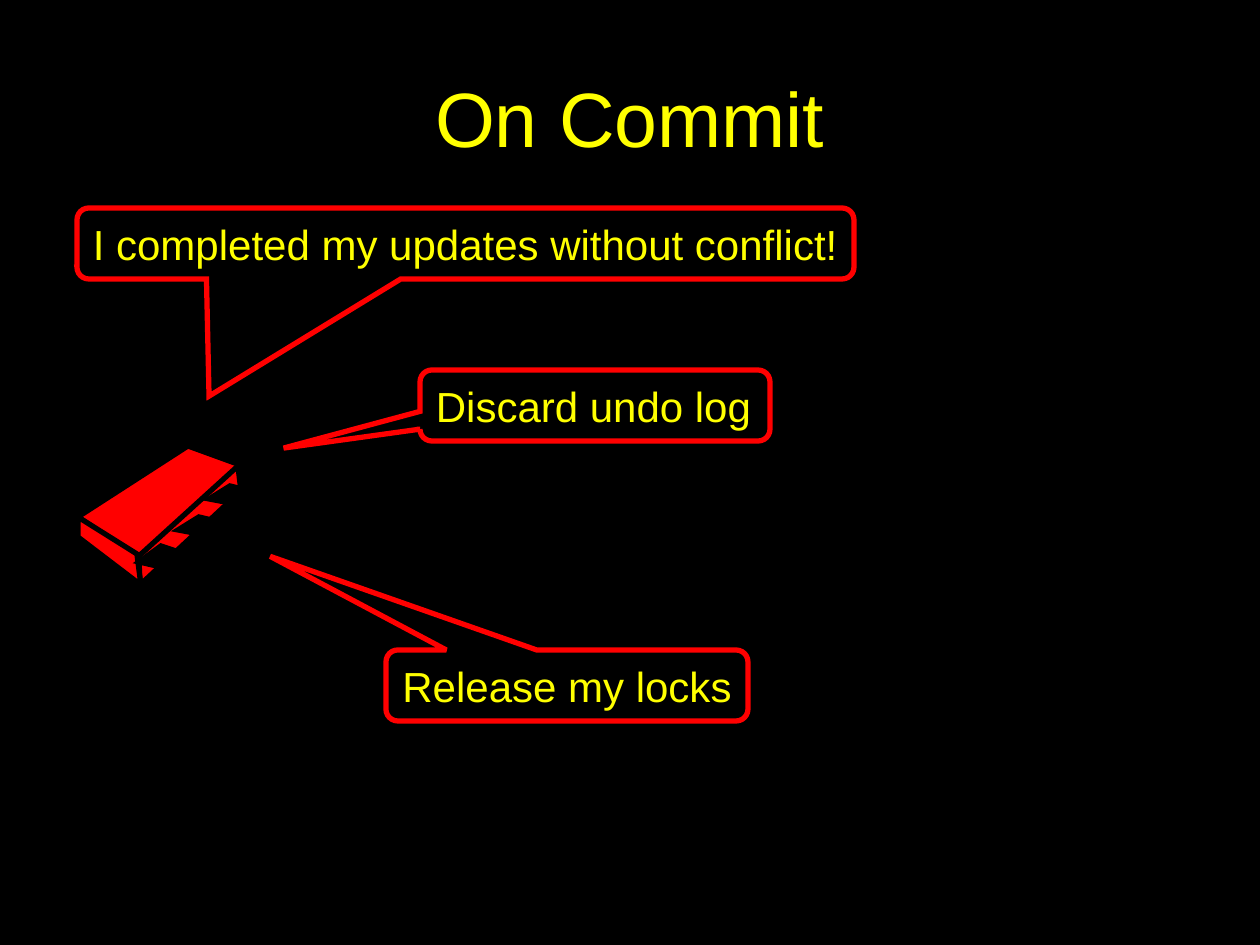
from lxml import etree
from pptx import Presentation
from pptx.dml.color import RGBColor
from pptx.enum.shapes import MSO_SHAPE
from pptx.enum.text import MSO_ANCHOR, MSO_AUTO_SIZE, PP_ALIGN
from pptx.oxml.ns import qn
from pptx.util import Pt

PX = 914400 // 126
CALLOUT = MSO_SHAPE.ROUNDED_RECTANGULAR_CALLOUT
MIDDLE, GROW = MSO_ANCHOR.MIDDLE, MSO_AUTO_SIZE.SHAPE_TO_FIT_TEXT
LEFT, CENTER = PP_ALIGN.LEFT, PP_ALIGN.CENTER
TITLE_ONLY = 5

COLORS = {"black": "000000", "red": "FF0000", "yellow": "FFFF00"}
TITLE = ("On Commit", (63, 38, 1134, 157))
CALLOUT_HEIGHT = 71
# text, left, top, width, pointer offset as a share of the box, alignment
CALLOUTS = [
    ("I completed my updates without conflict!", 77, 208, 777, (-0.33, 2.15), LEFT),
    ("Discard undo log", 420, 370, 350, (-0.89, 0.6), LEFT),
    ("Release my locks", 386, 650, 362, (-0.82, -1.82), CENTER),
]

BACK_PIN = [(30, 10), (10, 0), (0, 10), (0, 70), (10, 60), (10, 20), (30, 30)]
NEAR_PIN = [(22, 0), (0, 16), (35, 24), (35, 70), (49, 55), (49, 9)]
FRONT_PIN = [(21, 0), (0, 13), (37, 20), (37, 60), (50, 47), (50, 7)]
CHIP_TOP = [(188, 446), (78, 517), (140, 558), (243, 466)]
CHIP_SIDE = [(238, 466), (139, 556), (140, 585), (241, 491)]
CHIP_END = [(78, 517), (78, 537), (141, 585), (137, 554)]
# outline, origin, fill; from back to front
CHIP_PARTS = [
    (BACK_PIN, (140, 444), "black"),
    (BACK_PIN, (68, 496), "black"),
    (BACK_PIN, (112, 466), "black"),
    (CHIP_TOP, (0, 0), "red"),
    (CHIP_SIDE, (0, 0), "red"),
    (CHIP_END, (0, 0), "red"),
    (NEAR_PIN, (139, 546), "black"),
    (FRONT_PIN, (178, 517), "black"),
    (FRONT_PIN, (209, 486), "black"),
]


def color(name):
    return RGBColor.from_string(COLORS[name])


def scaled(lengths):
    return [length * PX for length in lengths]


def paint(shape, fill, line):
    """Give a shape a flat fill and a 3 pt line with sharp corners."""
    shape.shadow.inherit = False
    shape.fill.solid()
    shape.fill.fore_color.rgb = color(fill)
    shape.line.color.rgb = color(line)
    shape.line.width = Pt(3)
    outline = shape.element.spPr.find(qn("a:ln"))
    etree.SubElement(outline, qn("a:miter"), lim="800000")


def write(shape, text, size, alignment):
    frame = shape.text_frame
    frame.vertical_anchor = MIDDLE
    paragraph = frame.paragraphs[0]
    paragraph.alignment = alignment
    span = paragraph.add_run()
    span.text = text
    for name, value in {"name": "Arial", "size": Pt(size), "bold": False}.items():
        setattr(span.font, name, value)
    span.font.color.rgb = color("yellow")


def add_callout(page, text, left, top, width, pointer, alignment):
    box = page.shapes.add_shape(CALLOUT, *scaled((left, top, width, CALLOUT_HEIGHT)))
    box.adjustments[0], box.adjustments[1] = pointer
    paint(box, "black", "red")
    fill_color = box.element.spPr.find(qn("a:solidFill"))[0]
    etree.SubElement(fill_color, qn("a:alpha"), val="90000")
    write(box, text, 24, alignment)
    box.text_frame.word_wrap = False
    box.text_frame.auto_size = GROW


def add_chip(page):
    chip = page.shapes.add_group_shape()
    for outline, (left, top), fill in CHIP_PARTS:
        points = [(left + x, top + y) for x, y in outline]
        builder = chip.shapes.build_freeform(*points[0], scale=PX)
        builder.add_line_segments(points[1:], close=True)
        paint(builder.convert_to_shape(), fill, "black")


def main():
    deck = Presentation()
    deck.slide_width, deck.slide_height = scaled((1260, 945))
    page = deck.slides.add_slide(deck.slide_layouts[TITLE_ONLY])
    page.background.fill.solid()
    page.background.fill.fore_color.rgb = color("black")

    text, place = TITLE
    title = page.shapes.title
    title.left, title.top, title.width, title.height = scaled(place)
    write(title, text, 44, CENTER)

    for callout in CALLOUTS:
        add_callout(page, *callout)
    add_chip(page)
    deck.save("out.pptx")


if __name__ == "__main__":
    main()
